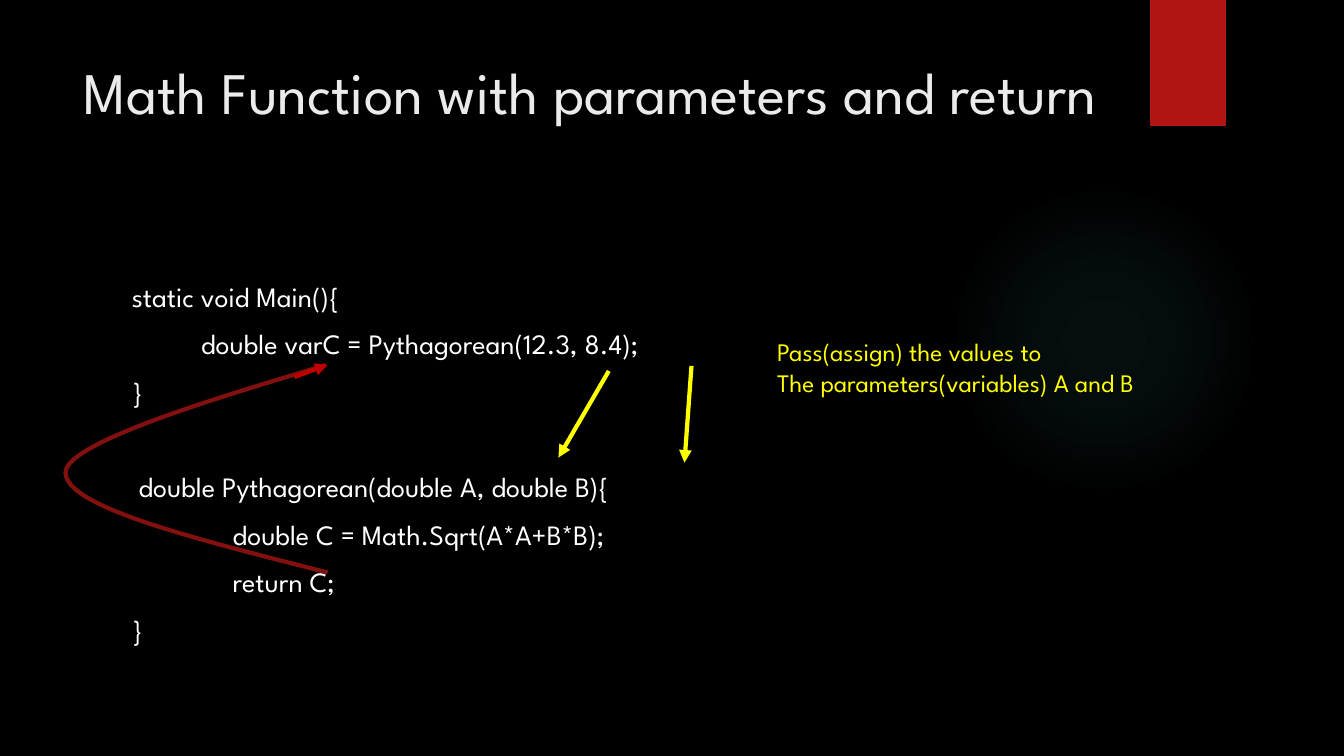
"""Build a slide on passing parameters to a function and returning its value."""
import dataclasses

import lxml.etree
import pptx
import pptx.dml.color
import pptx.enum.shapes
import pptx.enum.text
import pptx.oxml
import pptx.oxml.ns
import pptx.shapes.base
import pptx.slide
import pptx.text.text
import pptx.util

RGBColor = pptx.dml.color.RGBColor
BLACK = RGBColor(0x00, 0x00, 0x00)
WHITE = RGBColor(0xFF, 0xFF, 0xFF)
PALE = RGBColor(0xEB, 0xEB, 0xEB)
YELLOW = RGBColor(0xFF, 0xFF, 0x00)
RED = RGBColor(0xB0, 0x15, 0x13)
BRIGHT_RED = RGBColor(0xC0, 0x00, 0x00)
DARK_RED = RGBColor(0x82, 0x10, 0x0E)
GLOW = RGBColor(0x50, 0xB9, 0xC1)

FONT = "League Spartan"
WIDTH = pptx.util.Inches(13.33)
HEIGHT = pptx.util.Inches(7.5)
STROKE = pptx.util.Pt(3)
STEPS = 24

Point = tuple[float, float]


@dataclasses.dataclass(frozen=True)
class Box:
    """A frame in percent of the slide's width and height."""
    left: float
    top: float
    width: float
    height: float

    def emu(self) -> tuple[int, int, int, int]:
        """Return left, top, width and height in EMU."""
        return across(self.left), down(self.top), across(self.width), down(self.height)


@dataclasses.dataclass(frozen=True)
class Arrow:
    """A straight arrow between two points in percent of the slide."""
    start: Point
    end: Point
    color: RGBColor


@dataclasses.dataclass(frozen=True)
class Line:
    """A line of text with its indent in percent and its space before in points."""
    text: str
    indent: float = 0
    before: float = 0


GLOW_BOX = Box(70.58, 24.4, 23.1, 41.07)
TAB_BOX = Box(85.58, 0, 5.63, 16.67)
TITLE_BOX = Box(5.33, 6.67, 77.18, 20.4)
CODE_BOX = Box(9.08, 30, 73.35, 61.2)
CALLOUT_BOX = Box(57.08, 39.87, 33.3, 13.47)

TITLE = [Line("Math Function with parameters and return")]
CODE = [
    Line("static void Main(){"),
    Line("double varC = Pythagorean(12.3, 8.4);", 5.15, 10),
    Line("}", 0, 10),
    Line("double Pythagorean(double A, double B){", 0.5, 44),
    Line("double C = Math.Sqrt(A*A+B*B);", 7.5, 10),
    Line("return C;", 7.5, 10),
    Line("}", 0, 10),
]
CALLOUT = [Line("Pass(assign) the values to"), Line("The parameters(variables) A and B")]

ARROWS = [
    Arrow((45.3, 49.07), (41.55, 60.53), YELLOW),
    Arrow((51.45, 48.4), (50.93, 61.2), YELLOW),
    Arrow((21.9, 49.87), (24.38, 48.27), BRIGHT_RED),
]
RETURN_CURVE = [
    [(24.38, 75.73), (14.63, 71.33), (4.88, 67.07), (4.88, 62.53)],
    [(4.88, 62.53), (4.8, 58), (20.4, 50.53), (24.23, 48.27)],
]
GLOW_STOPS = [(0, 7), (36, 6), (69, 0)]


def across(share: float) -> int:
    """Return a percentage of the slide's width in EMU."""
    return round(WIDTH * share / 100)


def down(share: float) -> int:
    """Return a percentage of the slide's height in EMU."""
    return round(HEIGHT * share / 100)


def write(tf: pptx.text.text.TextFrame, lines: list[Line], size: float,
          color: RGBColor, top: float = 0.67) -> None:
    """Fill a text frame with lines below a top margin in percent."""
    tf.auto_size = pptx.enum.text.MSO_AUTO_SIZE.NONE
    tf.vertical_anchor = pptx.enum.text.MSO_ANCHOR.TOP
    tf.margin_top = down(top)
    tf.text = "\n".join(line.text for line in lines)
    for p, line in zip(tf.paragraphs, lines):
        p.space_before = pptx.util.Pt(line.before)
        p.line_spacing = 1.0
        p._p.get_or_add_pPr().set("marL", str(across(line.indent)))
        for r in p.runs:
            r.font.name = FONT
            r.font.size = pptx.util.Pt(size)
            r.font.color.rgb = color


def add_backdrop(s: pptx.slide.Slide, kind: pptx.enum.shapes.MSO_SHAPE,
                 box: Box) -> pptx.shapes.base.BaseShape:
    """Add an outline-free red shape."""
    sp = s.shapes.add_shape(kind, *box.emu())
    sp.shadow.inherit = False
    sp.fill.solid()
    sp.fill.fore_color.rgb = RED
    sp.line.fill.background()
    return sp


def add_glow(s: pptx.slide.Slide) -> None:
    """Add the faint round glow."""
    sp = add_backdrop(s, pptx.enum.shapes.MSO_SHAPE.OVAL, GLOW_BOX)
    stops = "".join(
        f'<a:gs pos="{pos * 1000}"><a:srgbClr val="{GLOW}">'
        f'<a:alpha val="{alpha * 1000}"/></a:srgbClr></a:gs>'
        for pos, alpha in GLOW_STOPS)
    grad = pptx.oxml.parse_xml(
        f'<a:gradFill {pptx.oxml.ns.nsdecls("a")}><a:gsLst>{stops}</a:gsLst>'
        '<a:path path="circle"><a:fillToRect l="50000" t="50000" r="50000" b="50000"/>'
        '</a:path></a:gradFill>')
    spPr = sp._element.spPr
    spPr.replace(spPr.find(pptx.oxml.ns.qn("a:solidFill")), grad)


def add_arrow(s: pptx.slide.Slide, arrow: Arrow) -> None:
    """Add a straight arrow with a triangular head."""
    (x1, y1), (x2, y2) = arrow.start, arrow.end
    cx = s.shapes.add_connector(pptx.enum.shapes.MSO_CONNECTOR.STRAIGHT,
                                across(x1), down(y1), across(x2), down(y2))
    cx.line.color.rgb = arrow.color
    cx.line.width = STROKE
    qn = pptx.oxml.ns.qn
    lxml.etree.SubElement(cx.line._get_or_add_ln(), qn("a:tailEnd"), type="triangle")
    lxml.etree.SubElement(cx._element.spPr, qn("a:effectLst"))


def bezier(points: list[Point], t: float) -> Point:
    """Return the point at t on a cubic curve."""
    weights = ((1 - t) ** 3, 3 * t * (1 - t) ** 2, 3 * t * t * (1 - t), t ** 3)
    x, y = (sum(w * v for w, v in zip(weights, axis)) for axis in zip(*points))
    return x, y


def add_curve(s: pptx.slide.Slide, segments: list[list[Point]], color: RGBColor) -> None:
    """Add an open curve through cubic segments."""
    x, y = segments[0][0]
    builder = s.shapes.build_freeform(across(x), down(y))
    points = [bezier(seg, i / STEPS) for seg in segments for i in range(1, STEPS + 1)]
    builder.add_line_segments([(across(x), down(y)) for x, y in points], close=False)
    sp = builder.convert_to_shape()
    sp.shadow.inherit = False
    sp.fill.background()
    sp.line.color.rgb = color
    sp.line.width = STROKE


def main() -> None:
    """Build and save the slide."""
    prs = pptx.Presentation()
    prs.slide_width, prs.slide_height = WIDTH, HEIGHT
    s = prs.slides.add_slide(prs.slide_layouts[5])
    s.background.fill.solid()
    s.background.fill.fore_color.rgb = BLACK

    add_glow(s)
    add_backdrop(s, pptx.enum.shapes.MSO_SHAPE.RECTANGLE, TAB_BOX)

    title = s.shapes.title
    title.left, title.top, title.width, title.height = TITLE_BOX.emu()
    write(title.text_frame, TITLE, 42, PALE)
    title.text_frame.margin_left = title.text_frame.margin_right = 0
    title.text_frame.paragraphs[0].alignment = pptx.enum.text.PP_ALIGN.CENTER

    for box, lines, size, color, top, wrap in (
            (CODE_BOX, CODE, 20, WHITE, 6.93, True),
            (CALLOUT_BOX, CALLOUT, 18, YELLOW, 4.67, False)):
        tf = s.shapes.add_textbox(*box.emu()).text_frame
        write(tf, lines, size, color, top)
        tf.word_wrap = wrap

    add_curve(s, RETURN_CURVE, DARK_RED)
    for arrow in ARROWS:
        add_arrow(s, arrow)
    prs.save("out.pptx")


if __name__ == "__main__":
    main()
